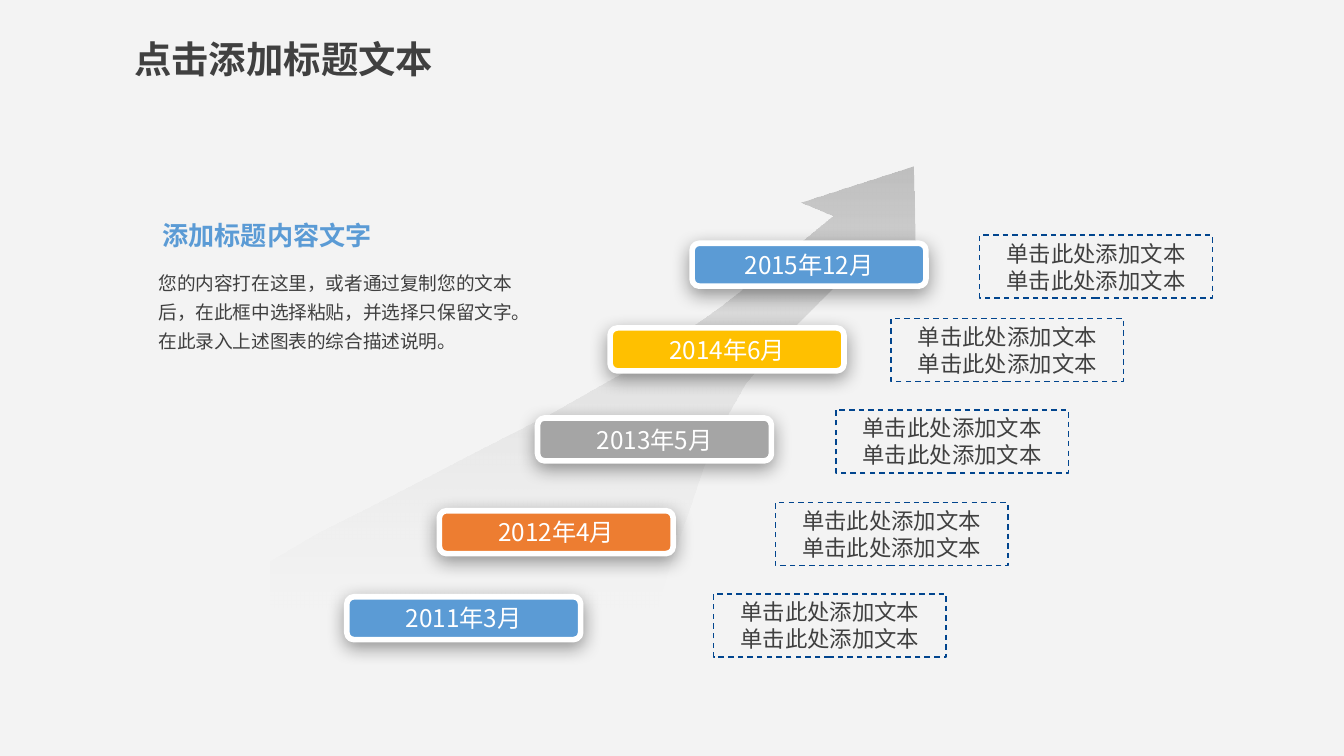
from lxml import etree
from pptx import Presentation
from pptx.dml.color import RGBColor
from pptx.enum import dml, shapes, text
from pptx.oxml import ns
from pptx.util import Pt

FONT = "Noto Sans CJK SC"
PAPER = RGBColor(0xF3, 0xF3, 0xF3)
WHITE = RGBColor(0xFF, 0xFF, 0xFF)
INK = RGBColor(0x40, 0x40, 0x40)
SILVER = RGBColor(0xBF, 0xBF, 0xBF)
NAVY = RGBColor(0x01, 0x45, 0x8E)
BLUE = RGBColor(0x5B, 0x9B, 0xD5)
ORANGE = RGBColor(0xED, 0x7D, 0x31)
GRAY = RGBColor(0xA5, 0xA5, 0xA5)
GOLD = RGBColor(0xFF, 0xC0, 0x00)

PILL_SIZE = (125.3, 23)
NOTE_SIZE = (124.6, 33.8)
NOTE_LINES = ["单击此处添加文本"] * 2
# date, colour, left and top of the pill, left and top of its note
MILESTONES = [
    ("2011年3月", BLUE, (185.8, 319.7), (382.3, 318.2)),
    ("2012年4月", ORANGE, (235.4, 273.6), (415.4, 269.3)),
    ("2013年5月", GRAY, (288, 223.9), (447.8, 219.6)),
    ("2014年6月", GOLD, (326.9, 175.7), (477.4, 170.6)),
    ("2015年12月", BLUE, (370.8, 130.3), (524.9, 126)),
]
ARROW_OUTLINE = [
    (0, 211), (24.5, 196.6), (49, 184.3), (75.6, 170.6), (108.7, 153.4),
    (149.8, 132.5), (176.4, 117.4), (194.4, 107.3), (218.9, 90.7),
    (241.2, 74.9), (261.4, 59), (277.2, 46.1), (301, 26.6), (283.7, 19.4),
    (344.2, 0), (345.6, 52.6), (326.9, 40.3), (303.1, 63.4), (274.3, 92.2),
    (254.2, 116.6), (244.8, 133.2), (235.4, 151.2), (229.7, 167.8),
    (224.6, 182.9), (213.8, 213.8), (205.9, 241.9), (200.2, 265),
    (193, 290.9), (0, 290.9),
]


def sub(parent, tag, **attrs):
    return etree.SubElement(parent, ns.qn(tag), attrs)


def write(sp, lines, size, color, bold=False, align=text.PP_ALIGN.LEFT,
          inset=(5, 2.5), anchor=text.MSO_ANCHOR.TOP, spacing=None):
    tf = sp.text_frame
    tf.word_wrap = True
    tf.vertical_anchor = anchor
    tf.margin_left = tf.margin_right = Pt(inset[0])
    tf.margin_top = tf.margin_bottom = Pt(inset[1])
    for i, line in enumerate(lines):
        p = tf.add_paragraph() if i else tf.paragraphs[0]
        p.alignment = align
        p.line_spacing = spacing
        r = p.add_run()
        r.text = line
        r.font.size = Pt(size)
        r.font.bold = bold
        r.font.color.rgb = color
        r.font.name = FONT
        sub(r.font._element, "a:ea", typeface=FONT)
    return tf


def add_textbox(s, box, *args, **kwargs):
    return write(s.shapes.add_textbox(*map(Pt, box)), *args, **kwargs)


def add_rising_arrow(s, left, top):
    """Draw the arrow that fades out towards its base."""
    points = [(Pt(left + x), Pt(top + y)) for x, y in ARROW_OUTLINE]
    builder = s.shapes.build_freeform(*points[0])
    builder.add_line_segments(points[1:], close=True)
    sp = builder.convert_to_shape()
    sp.shadow.inherit = False
    sp.line.fill.background()
    sp.fill.gradient()
    sp.fill.gradient_angle = 270
    for stop, color in zip(sp.fill.gradient_stops, (SILVER, WHITE)):
        stop.color.rgb = color
    end_color = list(sp._element.spPr.iter(ns.qn("a:srgbClr")))[-1]
    sub(end_color, "a:alpha", val="0")


def add_pill(s, left, top, date, color):
    sp = s.shapes.add_shape(shapes.MSO_SHAPE.ROUNDED_RECTANGLE,
                            *map(Pt, (left, top, *PILL_SIZE)))
    sp.fill.solid()
    sp.fill.fore_color.rgb = color
    sp.line.color.rgb = WHITE
    sp.line.width = Pt(3)
    sp.shadow.inherit = False
    effects = sp._element.spPr.find(ns.qn("a:effectLst"))
    shadow = sub(effects, "a:outerShdw", blurRad=str(Pt(10)),
                 dist=str(Pt(3)), dir="5400000", rotWithShape="0")
    sub(sub(shadow, "a:srgbClr", val="000000"), "a:alpha", val="40000")
    write(sp, [date], 13, WHITE, align=text.PP_ALIGN.CENTER,
          anchor=text.MSO_ANCHOR.MIDDLE)


def add_note(s, left, top):
    sp = s.shapes.add_shape(shapes.MSO_SHAPE.RECTANGLE,
                            *map(Pt, (left, top, *NOTE_SIZE)))
    sp.fill.background()
    sp.line.color.rgb = NAVY
    sp.line.width = Pt(0.75)
    sp.line.dash_style = dml.MSO_LINE.DASH
    sp.shadow.inherit = False
    tf = write(sp, NOTE_LINES, 12, INK, align=text.PP_ALIGN.CENTER)
    tf.auto_size = text.MSO_AUTO_SIZE.SHAPE_TO_FIT_TEXT


def add_summary(s, left, top):
    add_textbox(s, (left, top + 30.2, 200.2, 71.3),
                ["您的内容打在这里，或者通过复制您的文本后，在此框中选择粘贴，"
                 "并选择只保留文字。在此录入上述图表的综合描述说明。"],
                10, INK, inset=(5, 2.9), spacing=1.3)
    add_textbox(s, (left + 2.2, top, 170.6, 34.6), ["添加标题内容文字"],
                14, BLUE, bold=True, inset=(5, 2.9),
                anchor=text.MSO_ANCHOR.MIDDLE)


def add_title(s, left, top):
    tf = add_textbox(s, (left, top, 176.4, 31.7), ["点击添加标题文本"],
                     20, INK, bold=True, inset=(7.2, 3.6))
    tf.word_wrap = False
    tf.auto_size = text.MSO_AUTO_SIZE.SHAPE_TO_FIT_TEXT


def main():
    prs = Presentation()
    prs.slide_width, prs.slide_height = Pt(720), Pt(405)
    s = prs.slides.add_slide(prs.slide_layouts[6])
    s.background.fill.solid()
    s.background.fill.fore_color.rgb = PAPER

    add_rising_arrow(s, 144.7, 89.3)
    for date, color, pill_at, note_at in MILESTONES:
        add_pill(s, *pill_at, date, color)
        add_note(s, *note_at)
    add_summary(s, 79.9, 108.7)
    add_title(s, 64.8, 15.8)
    prs.save("out.pptx")


if __name__ == "__main__":
    main()
